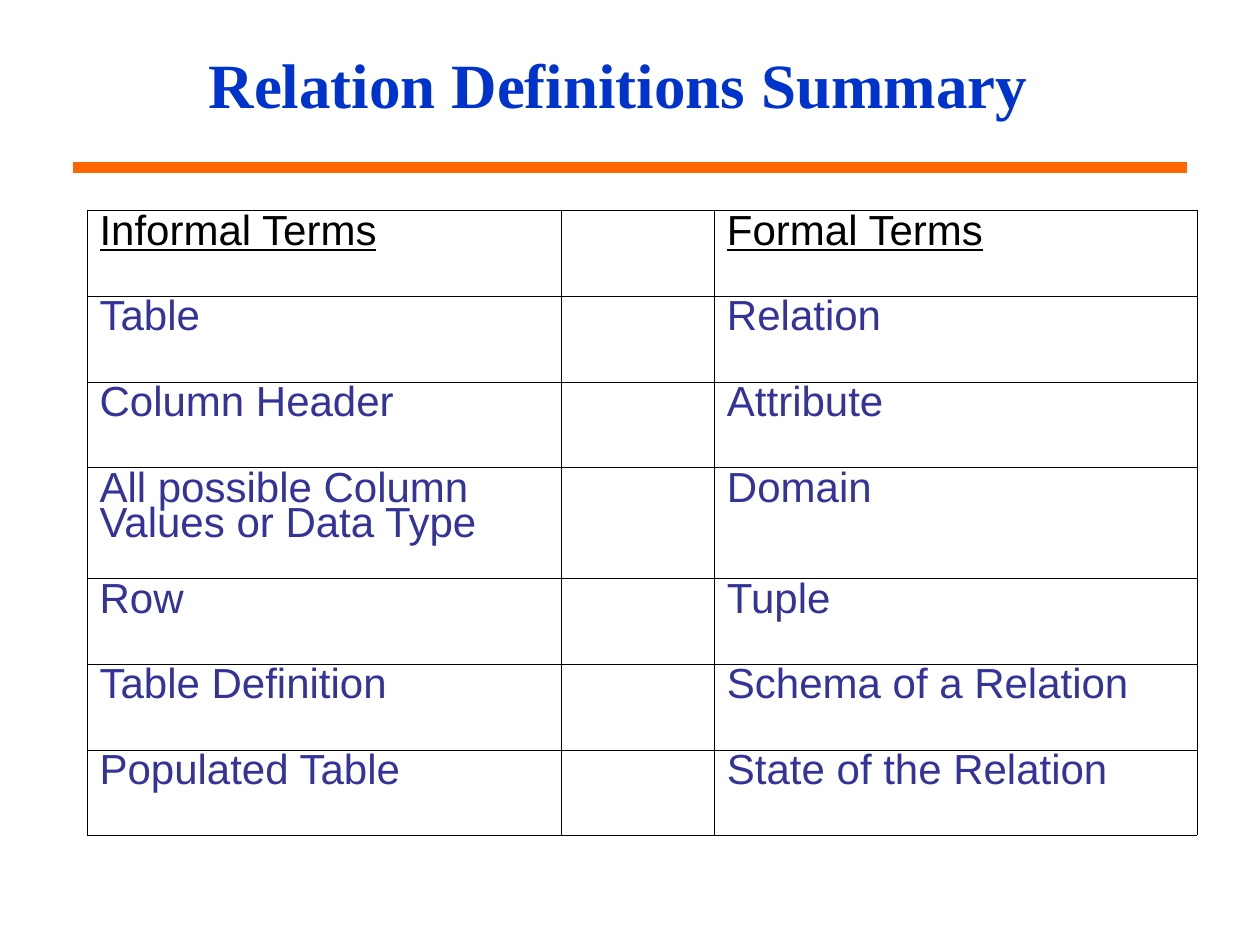
from lxml.etree import SubElement
from pptx import Presentation
from pptx.dml.color import RGBColor
from pptx.enum.shapes import MSO_CONNECTOR
from pptx.enum.text import MSO_ANCHOR, PP_ALIGN
from pptx.oxml.ns import qn
from pptx.util import Inches, Pt

COLORS = {
    "title": "0033CC",
    "rule": "FF6600",
    "header": "000000",
    "term": "333399",
    "border": "000000",
}
TERMS = [
    ("Informal Terms", "Formal Terms"),
    ("Table", "Relation"),
    ("Column Header", "Attribute"),
    ("All possible Column Values or Data Type", "Domain"),
    ("Row", "Tuple"),
    ("Table Definition", "Schema of a Relation"),
    ("Populated Table", "State of the Relation"),
]
COLUMN_WIDTHS = [3.76, 1.22, 3.83]
ROW_HEIGHT = 0.68
TALL_ROW, TALL_HEIGHT = 3, 0.88


class SlideBuilder:
    """Holds the style and the current slide."""

    def __init__(self, deck):
        self.slide = deck.slides.add_slide(deck.slide_layouts[5])

    def add_span(self, para, text, font, size, color, bold=False, underline=False):
        span = para.add_run()
        span.text = text
        span.font.name = font
        span.font.size = Pt(size)
        span.font.bold = bold
        span.font.underline = underline
        span.font.color.rgb = RGBColor.from_string(COLORS[color])

    def add_title(self, text, left, top, width, height):
        title = self.slide.shapes.title
        title.left, title.top = Inches(left), Inches(top)
        title.width, title.height = Inches(width), Inches(height)
        title.text_frame.vertical_anchor = MSO_ANCHOR.BOTTOM
        para = title.text_frame.paragraphs[0]
        para.alignment = PP_ALIGN.CENTER
        self.add_span(para, text, "Times New Roman", 36, "title", bold=True)

    def add_rule(self, left, right, y):
        rule = self.slide.shapes.add_connector(
            MSO_CONNECTOR.STRAIGHT, Inches(left), Inches(y), Inches(right), Inches(y))
        rule.line.color.rgb = RGBColor.from_string(COLORS["rule"])
        rule.line.width = Pt(6)
        SubElement(rule._element.spPr, qn("a:effectLst"))

    def add_borders(self, cell):
        properties = cell._tc.get_or_add_tcPr()
        for side in ("lnL", "lnR", "lnT", "lnB"):
            line = SubElement(properties, qn(f"a:{side}"), w=str(Pt(0.06)))
            fill = SubElement(line, qn("a:solidFill"))
            SubElement(fill, qn("a:srgbClr"), val=COLORS["border"])

    def add_terms_table(self, left, top):
        heights = [ROW_HEIGHT] * len(TERMS)
        heights[TALL_ROW] = TALL_HEIGHT
        table = self.slide.shapes.add_table(
            len(TERMS), len(COLUMN_WIDTHS), Inches(left), Inches(top),
            Inches(sum(COLUMN_WIDTHS)), Inches(sum(heights))).table
        table.first_row = table.horz_banding = False
        for column, width in zip(table.columns, COLUMN_WIDTHS):
            column.width = Inches(width)
        for row, height in zip(table.rows, heights):
            row.height = Inches(height)
        for cell in table.iter_cells():
            self.add_borders(cell)
            cell.fill.background()
        for index, (informal, formal) in enumerate(TERMS):
            is_header = index == 0
            for column, term in ((0, informal), (2, formal)):
                para = table.cell(index, column).text_frame.paragraphs[0]
                para.line_spacing = 0.76
                self.add_span(para, term, "Arial", 24,
                              "header" if is_header else "term", underline=is_header)


def main():
    deck = Presentation()
    deck.slide_width, deck.slide_height = Inches(10), Inches(7.5)
    page = SlideBuilder(deck)
    page.add_rule(0.58, 9.42, 1.33)
    page.add_title("Relation Definitions Summary", 0.64, -0.08, 8.53, 1.09)
    page.add_terms_table(0.69, 1.67)
    deck.save("out.pptx")


if __name__ == "__main__":
    main()
